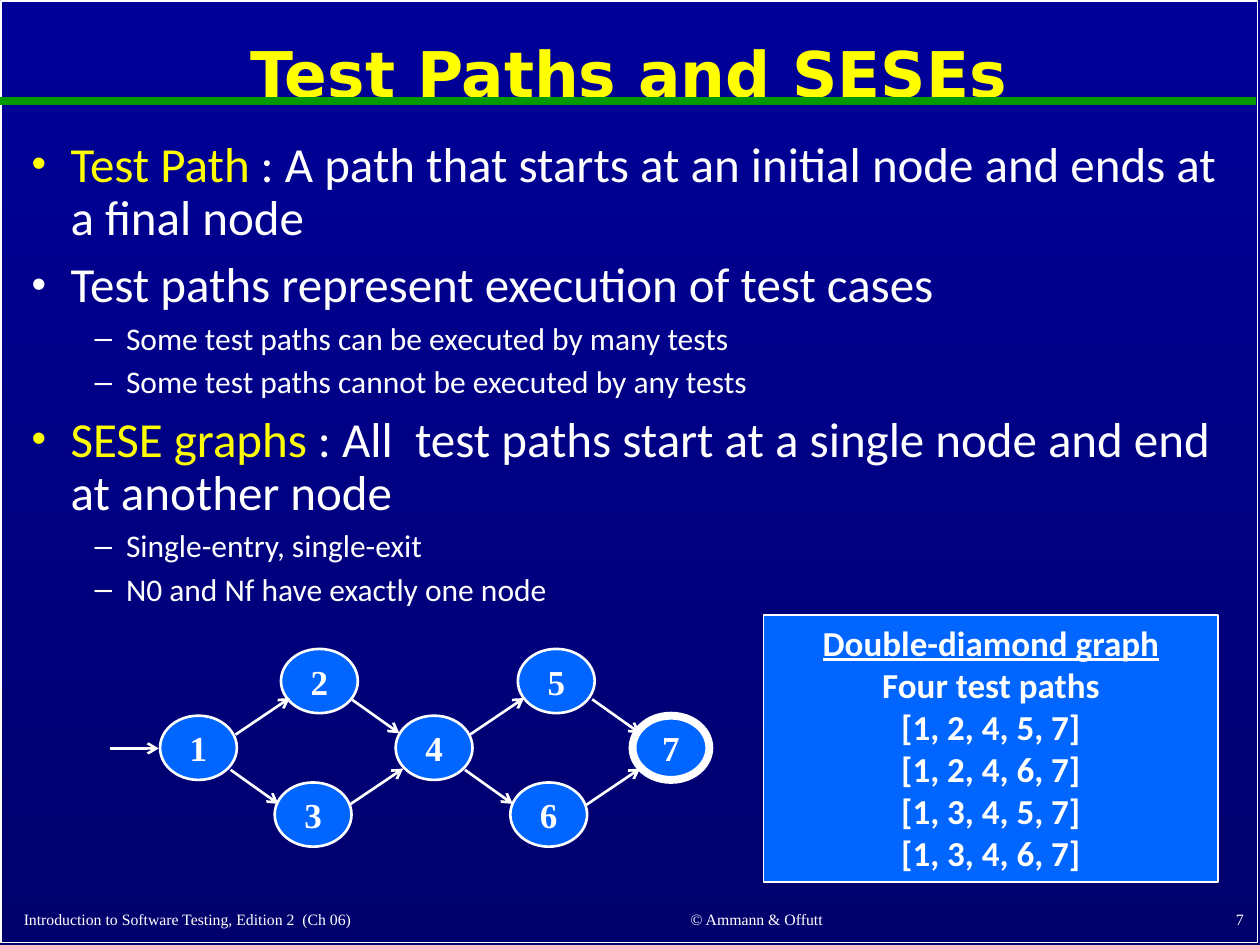
import pptx
import pptx.dml.color
import pptx.enum.dml
import pptx.enum.shapes
import pptx.enum.text
import pptx.oxml.ns
import pptx.util
from lxml import etree

Inches = pptx.util.Inches
Pt = pptx.util.Pt
RGBColor = pptx.dml.color.RGBColor
Align = pptx.enum.text.PP_ALIGN
Anchor = pptx.enum.text.MSO_ANCHOR
Shape = pptx.enum.shapes.MSO_SHAPE
qn = pptx.oxml.ns.qn

WHITE = RGBColor(0xFF, 0xFF, 0xFF)
YELLOW = RGBColor(0xFF, 0xFF, 0x00)
GREEN = RGBColor(0x00, 0x99, 0x00)
BLUE = RGBColor(0x00, 0x66, 0xFF)
NAVY = RGBColor(0x00, 0x00, 0x99)
DARK_NAVY = RGBColor(0x00, 0x00, 0x6D)

# Per list level: text size, left margin, hanging indent, bullet, bullet size
LEVELS = [
    (28, 0.31, 0.31, "•", 85),
    (18, 0.75, 0.25, "–", 100),
]
BODY = [
    (0, "Test Path", " : A path that starts at an initial node and ends at a final node"),
    (0, "", "Test paths represent execution of test cases"),
    (1, "", "Some test paths can be executed by many tests"),
    (1, "", "Some test paths cannot be executed by any tests"),
    (0, "SESE graphs", " : All  test paths start at a single node and end at another node"),
    (1, "", "Single-entry, single-exit"),
    (1, "", "N0 and Nf have exactly one node"),
]
FOOTERS = [
    ("Introduction to Software Testing, Edition 2  (Ch 06)", 0.09, 4.12, Align.LEFT),
    ("© Ammann & Offutt", 4.42, 3.17, Align.CENTER),
    ("7", 7.89, 2.08, Align.RIGHT),
]
NODE_WIDTH, NODE_HEIGHT = 0.61, 0.51
TOP, MIDDLE, BOTTOM = 5.15, 5.68, 6.21
NODES = {
    "1": (1.27, MIDDLE), "2": (2.23, TOP), "3": (2.18, BOTTOM),
    "4": (3.14, MIDDLE), "5": (4.11, TOP), "6": (4.05, BOTTOM),
    "7": (5.02, MIDDLE),
}
FINAL_NODE = "7"
RISE, FALL, ENTRY = (0.43, -0.29), (0.38, 0.27), (0.39, 0)
EDGES = [
    (ENTRY, [(0.87, 5.94)]),
    (RISE, [(1.87, 5.83), (3.73, 5.83), (2.77, 6.39), (4.65, 6.39)]),
    (FALL, [(1.83, 6.11), (3.69, 6.11), (2.79, 5.55), (4.7, 5.55)]),
]
TEST_PATHS = ["[1, 2, 4, 5, 7]", "[1, 2, 4, 6, 7]", "[1, 3, 4, 5, 7]", "[1, 3, 4, 6, 7]"]


class Painter:
    def __init__(self, deck):
        self.page = deck.slides.add_slide(deck.slide_layouts[1])
        self.body_font = "Calibri"
        self.label_font = "Times New Roman"

    def background(self, *colours):
        fill = self.page.background.fill
        fill.gradient()
        fill.gradient_angle = 270
        for stop, colour in zip(fill.gradient_stops, colours):
            stop.color.rgb = colour

    def format(self, font, colour=WHITE, **values):
        for name, value in values.items():
            setattr(font, name, value)
        font.color.rgb = colour

    def span(self, para, text, **values):
        span = para.add_run()
        span.text = text
        self.format(span.font, **values)

    def place(self, shape, left, top, width, height):
        places = {"left": left, "top": top, "width": width, "height": height}
        for name, value in places.items():
            setattr(shape, name, Inches(value))

    def frame(self, shape, **values):
        settings = {"word_wrap": True, "vertical_anchor": Anchor.TOP,
                    "auto_size": pptx.enum.text.MSO_AUTO_SIZE.NONE, **values}
        for name, value in settings.items():
            setattr(shape.text_frame, name, value)
        return shape.text_frame

    def title(self, text):
        title = self.page.shapes.title
        self.place(title, 0.09, 0.11, 9.8, 1)
        para = self.frame(title, vertical_anchor=Anchor.MIDDLE).paragraphs[0]
        para.alignment, para.line_spacing = Align.CENTER, 0.9
        self.span(para, text, colour=YELLOW, name="DejaVu Sans", size=Pt(36), bold=True)

    def bullet(self, para, margin, hanging, mark, percent):
        properties = para._p.get_or_add_pPr()
        properties.set("marL", str(Inches(margin)))
        properties.set("indent", str(-Inches(hanging)))
        etree.SubElement(properties, qn("a:buSzPct"), val=str(percent * 1000))
        etree.SubElement(properties, qn("a:buChar"), char=mark)

    def body(self, items):
        body = self.page.placeholders[1]
        self.place(body, 0.15, 1.06, 9.7, 5.79)
        frame = self.frame(body)
        for index, (level, term, text) in enumerate(items):
            para = frame.add_paragraph() if index else frame.paragraphs[0]
            size, *bullet = LEVELS[level]
            para.level = level
            self.bullet(para, *bullet)
            para.line_spacing = 0.9
            para.space_before = Pt(0.3 * size if index else 0)
            style = {"name": self.body_font, "size": Pt(size)}
            if term:
                self.span(para, term, colour=YELLOW, **style)
            self.span(para, text, **style)

    def footer(self, text, left, width, alignment):
        box = self.page.shapes.add_textbox(Inches(left), Inches(7.11), Inches(width), Inches(0.31))
        para = self.frame(box, vertical_anchor=Anchor.BOTTOM).paragraphs[0]
        para.alignment = alignment
        self.span(para, text, name=self.label_font, size=Pt(9))

    def shape(self, kind, left, top, width, height, fill=None, weight=1):
        shape = self.page.shapes.add_shape(
            kind, Inches(left), Inches(top), Inches(width), Inches(height))
        shape.shadow.inherit = False
        if fill is None:
            shape.fill.background()
        else:
            shape.fill.solid()
            shape.fill.fore_color.rgb = fill
        shape.line.color.rgb = WHITE
        shape.line.width = Pt(weight)
        return shape

    def node(self, label, left, top):
        weight = 4.5 if label == FINAL_NODE else 1.5
        node = self.shape(Shape.OVAL, left, top, NODE_WIDTH, NODE_HEIGHT, BLUE, weight)
        frame = self.frame(node, word_wrap=False, vertical_anchor=Anchor.MIDDLE,
                           margin_top=0, margin_bottom=0)
        frame.paragraphs[0].alignment = Align.CENTER
        self.span(frame.paragraphs[0], label, name=self.label_font, size=Pt(20), bold=True)

    def line(self, start, end, colour=WHITE, weight=1.5, arrow=False):
        points = [Inches(value) for value in (*start, *end)]
        line = self.page.shapes.add_connector(pptx.enum.shapes.MSO_CONNECTOR.STRAIGHT, *points)
        line.line.color.rgb = colour
        line.line.width = Pt(weight)
        if arrow:
            etree.SubElement(line.line._get_or_add_ln(), qn("a:tailEnd"), type="arrow")
        etree.SubElement(line._element.spPr, qn("a:effectLst"))

    def panel(self, heading, lines):
        panel = self.shape(Shape.RECTANGLE, 6.06, 4.88, 3.61, 2.12, BLUE)
        frame = self.frame(panel)
        for index, text in enumerate([heading, *lines]):
            para = frame.add_paragraph() if index else frame.paragraphs[0]
            para.alignment = Align.CENTER
            self.span(para, text, name=self.body_font, size=Pt(20), bold=True,
                      underline=index == 0)


def main():
    deck = pptx.Presentation()
    deck.slide_width, deck.slide_height = Inches(10), Inches(7.5)
    painter = Painter(deck)
    painter.background(NAVY, DARK_NAVY)
    painter.shape(Shape.RECTANGLE, 0.01, 0.01, 9.97, 7.47)
    painter.line((0, 0.8), (9.97, 0.8), GREEN, 4.5)
    for footer in FOOTERS:
        painter.footer(*footer)
    painter.title("Test Paths and SESEs")
    painter.body(BODY)
    for label, corner in NODES.items():
        painter.node(label, *corner)
    for (across, down), starts in EDGES:
        for left, top in starts:
            painter.line((left, top), (left + across, top + down), arrow=True)
    painter.panel("Double-diamond graph", ["Four test paths", *TEST_PATHS])
    deck.save("out.pptx")


if __name__ == "__main__":
    main()
